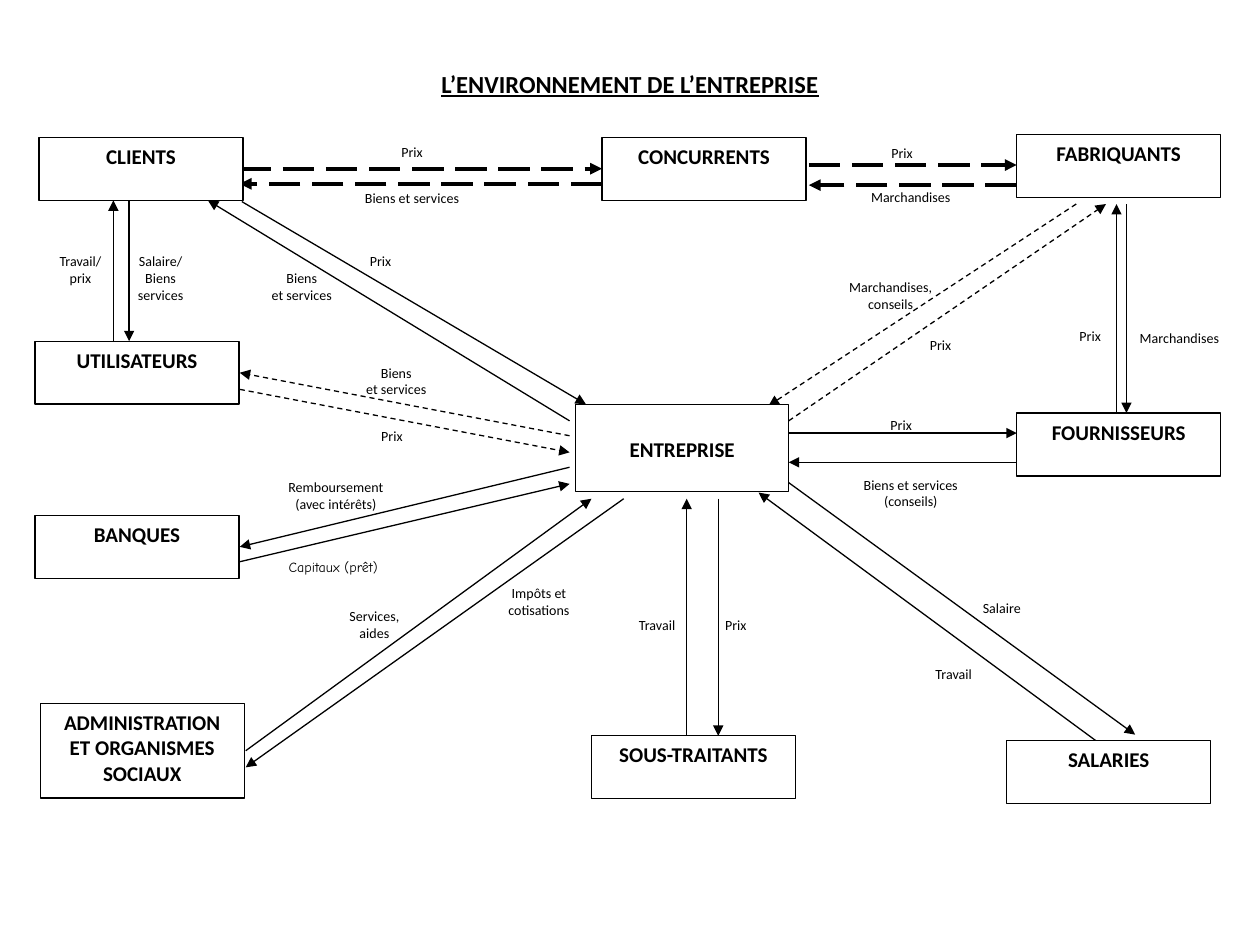
from lxml.etree import SubElement
from pptx import Presentation
from pptx.dml.color import RGBColor
from pptx.enum.dml import MSO_LINE as Dash
from pptx.enum.shapes import MSO_CONNECTOR as Conn, MSO_SHAPE as Kind
from pptx.enum.text import MSO_ANCHOR as Anchor, PP_ALIGN as Align
from pptx.oxml.ns import qn
from pptx.util import Pt

BLACK = RGBColor(0, 0, 0)
WHITE = RGBColor(255, 255, 255)
WIDE, HIGH = 720, 540
BOX_W, BOX_H = 116.6, 36
TAG_W, TAG_H = 72, 17

TITLE = "L’ENVIRONNEMENT DE L’ENTREPRISE"

# Actors: text, left, top, then any format that differs
BOXES = [
    ("CLIENTS", 22.3, 78.5, {}),
    ("CONCURRENTS", 344, 78.5, {}),
    ("FABRIQUANTS", 581, 77, {}),
    ("UTILISATEURS", 20, 195, {}),
    ("ENTREPRISE", 329, 231, {"w": 121.7, "h": 50, "top": 18.6}),
    ("FOURNISSEURS", 581, 236, {}),
    ("BANQUES", 20, 294.5, {}),
    ("ADMINISTRATION\nET ORGANISMES\nSOCIAUX", 23, 402, {"h": 54}),
    ("SOUS-TRAITANTS", 338, 420.5, {}),
    ("SALARIES", 575.3, 423.3, {}),
]

# Flows: start x, start y, end x, end y, grouped by line style
FLOWS = [
    (0.75, None, [
        (138.2, 115.2, 334.8, 231), (325.5, 240.5, 118.8, 114.5),  # clients
        (64.8, 195, 64.8, 114.5), (73.8, 114.5, 73.8, 195),  # users to clients
        (137, 321, 325.5, 276.5), (325.5, 267, 137, 312.5),  # banks
        (140.4, 429, 338, 285), (356.4, 285, 140.4, 438.5),  # administration
        (410.4, 285, 410.4, 420.5), (392.4, 420.5, 392.4, 285),  # subcontractors
        (450.7, 275.8, 648.7, 419.8), (626.4, 423.4, 433.5, 281.5),  # employees
        (450.7, 247.5, 581, 247.5), (581, 264.2, 450.7, 264.2),  # suppliers
        (638, 236, 638, 116.6), (643.7, 116.6, 643.7, 236),  # makers
    ]),
    (0.75, Dash.DASH, [
        (325.5, 249, 137, 213), (137, 222.5, 325.5, 258.5),  # users
        (450.7, 240.5, 632, 116.6), (615, 116.6, 439.2, 231.8),  # makers
    ]),
    (2.25, Dash.LONG_DASH, [
        (137, 96.4, 344, 96.4), (344, 105, 137, 105),  # clients to rivals
        (462.2, 94.3, 581, 94.3), (581, 105.8, 462.2, 105.8),  # rivals to makers
    ]),
]

# Labels: text, centre x, top
TAGS = [
    ("Prix", 235.5, 78.5),
    ("Biens et services", 235.5, 105),
    ("Prix", 515.5, 79),
    ("Marchandises", 520.5, 104),
    ("Travail/\nprix", 46, 141),
    ("Salaire/\nBiens\nservices", 91.8, 141),
    ("Biens\net services", 172.5, 150.5),
    ("Prix", 217.5, 141),
    ("Biens\net services", 226.5, 204.5),
    ("Prix", 224, 240.5),
    ("Remboursement (avec intérêts)", 192, 270),
    ("Capitaux (prêt)", 190.5, 315.4),
    ("Services,\naides", 214, 343.5),
    ("Impôts et cotisations", 308, 330.5),
    ("Travail", 375.5, 348.5),
    ("Prix", 420.5, 348.5),
    ("Salaire", 572.5, 339),
    ("Travail", 545, 376.5),
    ("Biens et services\n(conseils)", 520.5, 268.5),
    ("Prix", 515, 234.5),
    ("Marchandises, conseils", 509, 155.5),
    ("Prix", 537.5, 189),
    ("Prix", 623, 183.5),
    ("Marchandises", 674, 185),
]
FONTS = {"Capitaux (prêt)": "Comic Neue"}


def write(shape, text, size=8, face="Calibri", bold=False, under=False,
          top=3.6, anchor=Anchor.TOP):
    frame = shape.text_frame
    frame.word_wrap = True
    frame.vertical_anchor = anchor
    frame.margin_left = frame.margin_right = Pt(7.2)
    frame.margin_top, frame.margin_bottom = Pt(top), Pt(3.6)
    frame.text = text
    for para in frame.paragraphs:
        para.alignment = Align.CENTER
        for run in para.runs:
            font = run.font
            font.name, font.size = face, Pt(size)
            font.bold, font.underline = bold, under
            font.color.rgb = BLACK


def draw_box(shapes, text, x, y, w=BOX_W, h=BOX_H, top=3.6):
    box = shapes.add_shape(Kind.RECTANGLE, Pt(x), Pt(y), Pt(w), Pt(h))
    box.shadow.inherit = False
    box.fill.solid()
    box.fill.fore_color.rgb = WHITE
    box.line.color.rgb = BLACK
    box.line.width = Pt(0.75)
    write(box, text, size=12, bold=True, top=top)


def draw_flow(shapes, ends, width, dash):
    flow = shapes.add_connector(Conn.STRAIGHT, *map(Pt, ends))
    flow.line.color.rgb = BLACK
    flow.line.width = Pt(width)
    if dash:
        flow.line.dash_style = dash
    SubElement(flow.line._get_or_add_ln(), qn("a:tailEnd"), type="triangle")
    SubElement(flow._element.spPr, qn("a:effectLst"))


def main():
    deck = Presentation()
    deck.slide_width, deck.slide_height = Pt(WIDE), Pt(HIGH)
    slide = deck.slides.add_slide(deck.slide_layouts[5])
    shapes = slide.shapes

    # Title
    head = shapes.title
    head.left, head.top, head.width, head.height = map(Pt, (0, 35.5, WIDE, 24.5))
    write(head, TITLE, size=14, bold=True, under=True, anchor=Anchor.MIDDLE)

    # Arrows lie under the boxes
    for width, dash, flows in FLOWS:
        for ends in flows:
            draw_flow(shapes, ends, width, dash)

    for text, x, y, style in BOXES:
        draw_box(shapes, text, x, y, **style)

    # Labels
    for text, mid, y in TAGS:
        tag = shapes.add_textbox(Pt(mid - TAG_W / 2), Pt(y), Pt(TAG_W), Pt(TAG_H))
        write(tag, text, face=FONTS.get(text, "Calibri"))

    deck.save("out.pptx")


if __name__ == "__main__":
    main()
